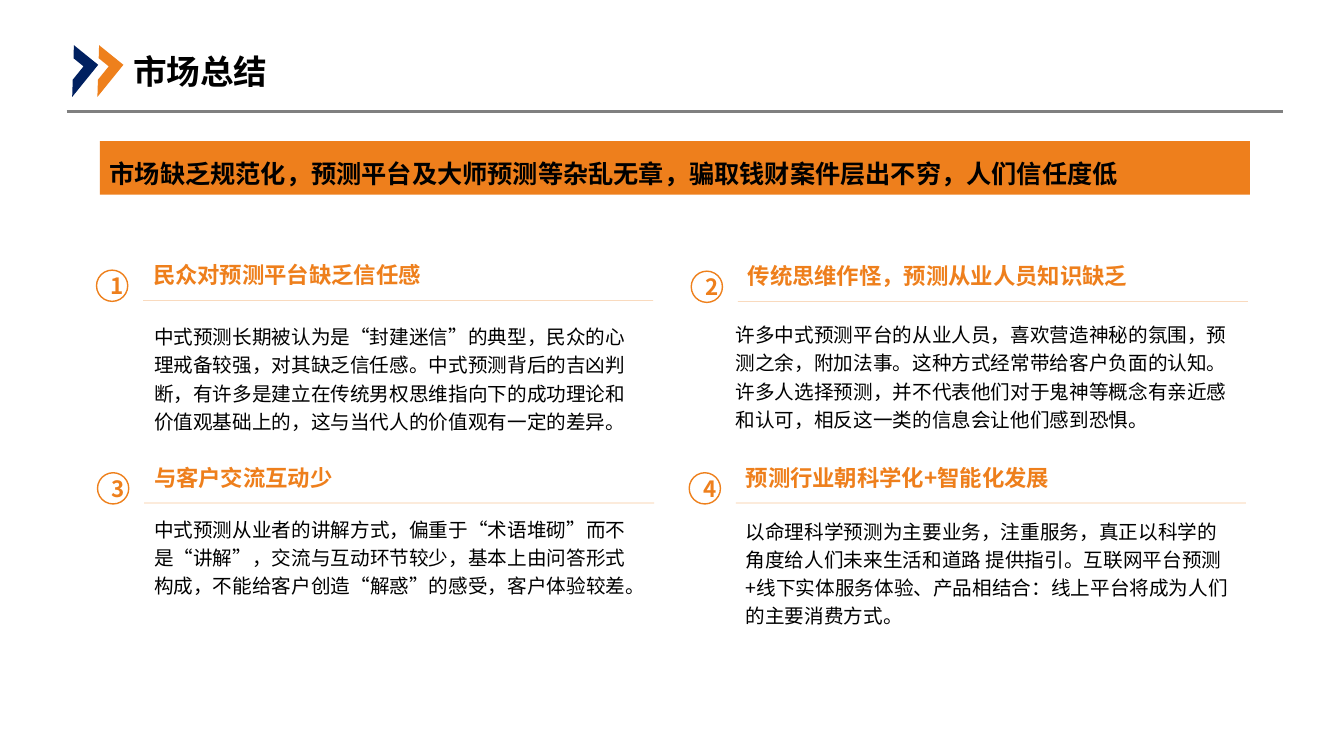
from lxml import etree
from pptx import Presentation
from pptx.dml.color import RGBColor
from pptx.enum import shapes, text
from pptx.oxml import ns
from pptx.util import Pt

FONT = "Noto Sans CJK SC"
ORANGE, RULE_ORANGE, NAVY = "EE7F1C", "EE801C", "002060"
GREY, BLACK = "808080", "000000"

# Heading position, heading, body position and width, body
POINTS = [
    ((102.24, 179.28), "民众对预测平台缺乏信任感", (102.96, 225.36, 364.3),
     "中式预测长期被认为是“封建迷信”的典型，民众的心理戒备较强，对其缺乏信任感。"
     "中式预测背后的吉凶判断，有许多是建立在传统男权思维指向下的成功理论和价值观基础上的，"
     "这与当代人的价值观有一定的差异。"),
    ((527.04, 180), "传统思维作怪，预测从业人员知识缺乏", (518.4, 223.92, 366.5),
     "许多中式预测平台的从业人员，喜欢营造神秘的氛围，预测之余，附加法事。"
     "这种方式经常带给客户负面的认知。许多人选择预测，并不代表他们对于鬼神等概念有亲近感和认可，"
     "相反这一类的信息会让他们感到恐惧。"),
    ((102.96, 324), "与客户交流互动少", (102.96, 362.88, 363.6),
     "中式预测从业者的讲解方式，偏重于“术语堆砌”而不是“讲解”，交流与互动环节较少，"
     "基本上由问答形式构成，不能给客户创造“解惑”的感受，客户体验较差。"),
    ((525.6, 324), "预测行业朝科学化+智能化发展", (525.6, 364.32, 364.3),
     "以命理科学预测为主要业务，注重服务，真正以科学的角度给人们未来生活和道路 提供指引。"
     "互联网平台预测+线下实体服务体验、产品相结合：线上平台将成为人们的主要消费方式。"),
]


def color(hex_string):
    return RGBColor.from_string(hex_string)


def write(shape, words, size, ink, bold=False, spacing=1.0, font=FONT,
          align=text.PP_ALIGN.LEFT, anchor=text.MSO_ANCHOR.TOP):
    frame = shape.text_frame
    frame.text = words
    frame.word_wrap = True
    frame.auto_size = text.MSO_AUTO_SIZE.NONE
    frame.vertical_anchor = anchor
    paragraph = frame.paragraphs[0]
    paragraph.alignment = align
    paragraph.line_spacing = spacing
    run = paragraph.runs[0]
    run.font.size, run.font.bold, run.font.name = Pt(size), bold, font
    run.font.color.rgb = color(ink)
    # East Asian characters take their own typeface
    east_asian = etree.SubElement(run.font._element, ns.qn("a:ea"))
    east_asian.set("typeface", FONT)


def add_text(slide, left, top, width, height, words, size, ink, bold=False):
    box = slide.shapes.add_textbox(Pt(left), Pt(top), Pt(width), Pt(height))
    write(box, words, size, ink, bold, spacing=1.2)


def add_shape(slide, kind, left, top, width, height, fill=None, line=None):
    shape = slide.shapes.add_shape(kind, Pt(left), Pt(top), Pt(width), Pt(height))
    shape.shadow.inherit = False
    if fill:
        shape.fill.solid()
        shape.fill.fore_color.rgb = color(fill)
    else:
        shape.fill.background()
    if line:
        shape.line.color.rgb = color(line)
        shape.line.width = Pt(1)
    else:
        shape.line.fill.background()
    return shape


def add_rule(slide, left, top, width, ink, weight, opacity=100):
    rule = slide.shapes.add_connector(
        shapes.MSO_CONNECTOR.STRAIGHT, Pt(left), Pt(top), Pt(left + width), Pt(top))
    rule.line.color.rgb = color(ink)
    rule.line.width = Pt(weight)
    properties = rule._element.spPr
    if opacity < 100:
        alpha = etree.SubElement(properties.find(".//" + ns.qn("a:srgbClr")), ns.qn("a:alpha"))
        alpha.set("val", str(opacity * 1000))
    etree.SubElement(properties, ns.qn("a:effectLst"))


def add_header(slide):
    title = slide.shapes.title
    title.left, title.top, title.width, title.height = Pt(87.84), Pt(32.4), Pt(144), Pt(36)
    write(title, "市场总结", 24, BLACK, bold=True)
    for left, fill in ((37.44, NAVY), (55.44, RULE_ORANGE)):
        chevron = add_shape(slide, shapes.MSO_SHAPE.HALF_FRAME, left, 39.6, 29.5, 22.3, fill)
        chevron.rotation = 129
    add_rule(slide, 47.52, 79.92, 869, GREY, 2.25)


def add_banner(slide):
    banner = add_shape(slide, shapes.MSO_SHAPE.RECTANGLE, 71.28, 100.8, 821.5, 38.2, ORANGE)
    write(banner, "市场缺乏规范化，预测平台及大师预测等杂乱无章，骗取钱财案件层出不穷，人们信任度低",
          18, BLACK, bold=True, spacing=1.4, font="Arial")


def add_point(slide, number, heading_at, heading, body_at, body):
    left, top = heading_at
    add_rule(slide, left, top + 35.28, 364.3, RULE_ORANGE, 0.5, opacity=44)
    add_text(slide, left, top, 364.3, 32.4, heading, 16, ORANGE, bold=True)
    circle = add_shape(slide, shapes.MSO_SHAPE.OVAL, left - 33.3, top + 13.68,
                       22.3, 22.3, line=RULE_ORANGE)
    write(circle, str(number), 16, ORANGE, bold=True,
          align=text.PP_ALIGN.CENTER, anchor=text.MSO_ANCHOR.MIDDLE)
    body_left, body_top, body_width = body_at
    add_text(slide, body_left, body_top, body_width, 88.6, body, 14, BLACK)


def main():
    presentation = Presentation()
    presentation.slide_width, presentation.slide_height = Pt(960), Pt(540)
    title_only = presentation.slide_layouts[5]
    slide = presentation.slides.add_slide(title_only)

    add_header(slide)
    add_banner(slide)
    for number, point in enumerate(POINTS, start=1):
        add_point(slide, number, *point)

    presentation.save("out.pptx")


if __name__ == "__main__":
    main()
